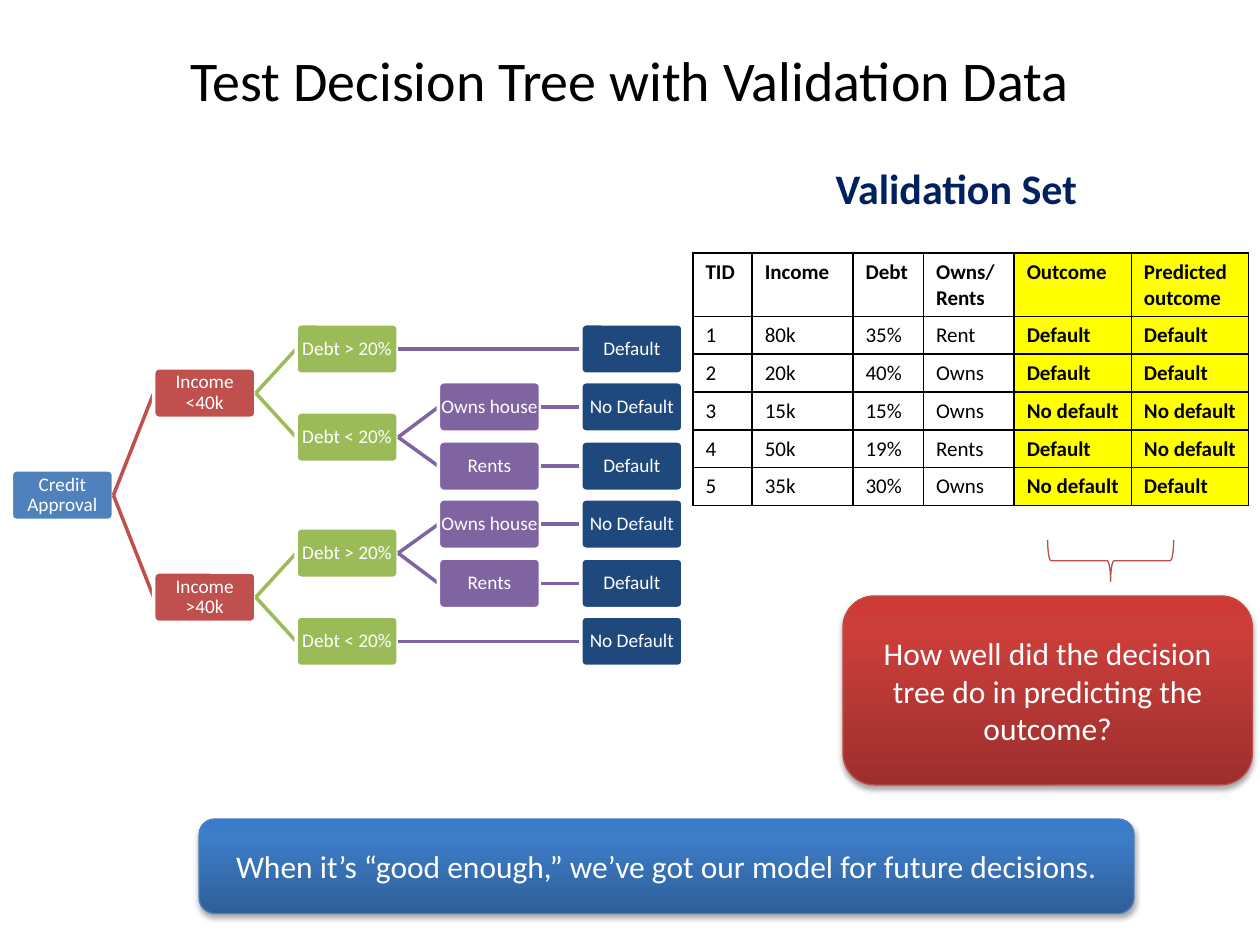
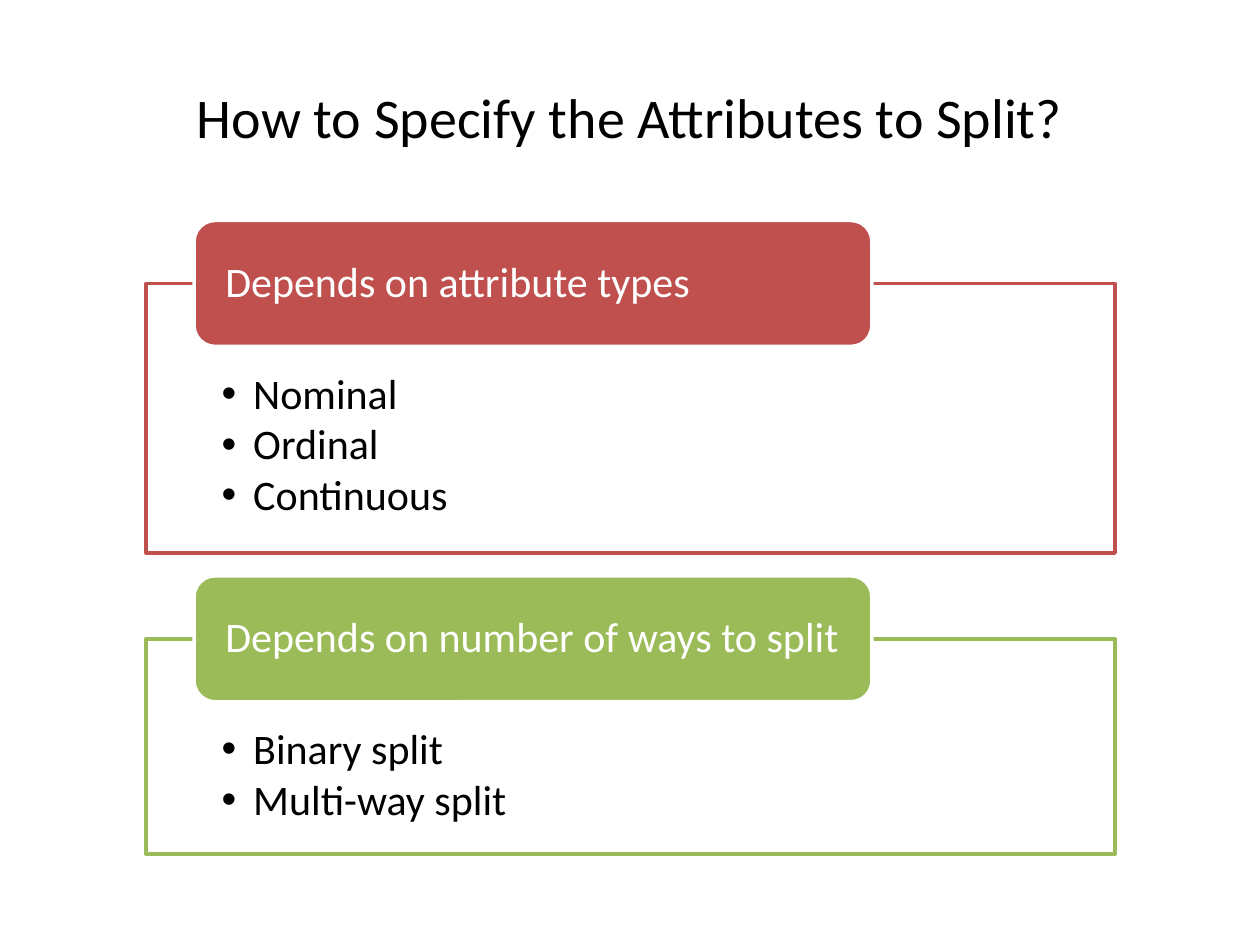
"""Build two slides on testing a decision tree and choosing attribute splits."""
from copy import deepcopy

from pptx import Presentation
from pptx.dml.color import RGBColor
from pptx.enum.shapes import MSO_CONNECTOR as Connector, MSO_SHAPE as Shape
from pptx.enum.text import MSO_ANCHOR as Anchor, PP_ALIGN as Align
from pptx.oxml import parse_xml
from pptx.oxml.ns import nsdecls, qn
from pptx.util import Pt

PX = 9144
BLACK, WHITE, YELLOW = "000000", "FFFFFF", "FFFF00"
BLUE, RED, GREEN, PURPLE, NAVY = "4F81BD", "C0504D", "9BBB59", "8064A2", "1F497D"
DEEP_NAVY, BRACE_RED, BAR_BLUE = "002060", "BF4C48", "4B7EBC"
FONT = "Calibri"


def paint(fill, color):
    """Make a fill solid in a hex colour."""
    fill.solid()
    fill.fore_color.rgb = RGBColor.from_string(color)


def write(frame, text, size=18, color=WHITE, bold=False, align=Align.CENTER, anchor=Anchor.MIDDLE,
          margins=(10, 5, 10, 5), line_spacing=1.0, space_after=0, bullet=None):
    """Fill a text frame with formatted text."""
    frame.text = text
    frame.word_wrap = True
    frame.vertical_anchor = anchor
    sides = ("margin_left", "margin_top", "margin_right", "margin_bottom")
    for side, margin in zip(sides, margins):
        setattr(frame, side, margin * PX)
    for paragraph in frame.paragraphs:
        paragraph.alignment = align
        paragraph.line_spacing = line_spacing
        paragraph.space_after = Pt(space_after)
        if bullet:
            properties = paragraph._p.get_or_add_pPr()
            properties.set("marL", str(25 * PX))
            properties.set("indent", str(-25 * PX))
            properties.append(parse_xml(f'<a:buFont {nsdecls("a")} typeface="Arial"/>'))
            properties.append(parse_xml(f'<a:buChar {nsdecls("a")} char="{bullet}"/>'))
        for run in paragraph.runs:
            run.font.name = FONT
            run.font.size = Pt(size)
            run.font.bold = bold
            paint(run.font.fill, color)
        for line_break in paragraph._p.findall(qn("a:br")):
            line_break.append(deepcopy(paragraph.runs[0]._r.rPr))


presentation = Presentation()
presentation.slide_width = 1000 * PX
presentation.slide_height = 750 * PX

titles = [
    ("Test Decision Tree with Validation Data", 0),
    ("How to Specify the Attributes to Split?", 30),
]
for title, top in titles:
    slide = presentation.slides.add_slide(presentation.slide_layouts[6])
    title_box = slide.shapes.add_textbox(50 * PX, top * PX, 900 * PX, 125 * PX)
    write(title_box.text_frame, title, size=32, color=BLACK)
tree_slide, split_slide = presentation.slides

heading = tree_slide.shapes.add_textbox(605 * PX, 124 * PX, 308 * PX, 50 * PX)
write(heading.text_frame, "Validation Set", size=24, color=DEEP_NAVY, bold=True, anchor=Anchor.TOP)

NODE_WIDTH, NODE_HEIGHT = 81, 40
COLUMN_STEP, ROW_STEP = 113, 46.4
node_colors = [BLUE, RED, GREEN, PURPLE, NAVY]
link_colors = [BLUE, RED, GREEN, PURPLE, PURPLE]
nodes = [
    (0, 2.5, "Credit\vApproval", None),
    (1, 0.75, "Income\v<40k", 0),
    (2, 0, "Debt > 20%", 1),
    (4, 0, "Default", 2),
    (2, 1.5, "Debt < 20%", 1),
    (3, 1, "Owns house", 4),
    (4, 1, "No Default", 5),
    (3, 2, "Rents", 4),
    (4, 2, "Default", 7),
    (1, 4.25, "Income\v>40k", 0),
    (2, 3.5, "Debt > 20%", 9),
    (3, 3, "Owns house", 10),
    (4, 3, "No Default", 11),
    (3, 4, "Rents", 10),
    (4, 4, "Default", 13),
    (2, 5, "Debt < 20%", 9),
    (4, 5, "No Default", 15),
]
corners = [(9 + column * COLUMN_STEP, round(257 + row * ROW_STEP)) for column, row, _, _ in nodes]
for (column, _, label, parent), (left, top) in zip(nodes, corners):
    if parent is not None:
        parent_left, parent_top = corners[parent]
        link = tree_slide.shapes.add_connector(
            Connector.STRAIGHT, (parent_left + NODE_WIDTH) * PX, (parent_top + NODE_HEIGHT // 2) * PX,
            left * PX, (top + NODE_HEIGHT // 2) * PX)
        link.line.width = Pt(2)
        paint(link.line.fill, link_colors[column])
        link._element.spPr.append(parse_xml(f'<a:effectLst {nsdecls("a")}/>'))
    node = tree_slide.shapes.add_shape(
        Shape.ROUNDED_RECTANGLE, left * PX, top * PX, NODE_WIDTH * PX, NODE_HEIGHT * PX)
    node.adjustments[0] = 0.1
    node.shadow.inherit = False
    node.line.width = Pt(2)
    paint(node.fill, node_colors[column])
    paint(node.line.fill, WHITE)
    write(node.text_frame, label, size=11, margins=(1, 2, 1, 2), line_spacing=0.9)

callouts = [
    ("How well did the decision tree do in predicting the outcome?",
     (669, 473, 325, 150), ("9C2F2D", "CB3E3A", "CE3B37"), BRACE_RED),
    ("When it’s “good enough,” we’ve got our model for future decisions.",
     (158, 650, 742, 75), ("2F5F99", "3D7CC7", "3A7CCB"), BAR_BLUE),
]
for message, box, stop_colors, line_color in callouts:
    callout = tree_slide.shapes.add_shape(Shape.ROUNDED_RECTANGLE, *(value * PX for value in box))
    callout.fill.gradient()
    callout.fill.gradient_angle = 90
    stop_list = callout._element.spPr.find(".//" + qn("a:gsLst"))
    stop_list.append(deepcopy(stop_list[0]))
    for stop, position, color in zip(callout.fill.gradient_stops, (0, 0.8, 1), stop_colors):
        stop.position = position
        stop.color.rgb = RGBColor.from_string(color)
    callout.line.width = Pt(0.75)
    paint(callout.line.fill, line_color)
    callout.shadow.inherit = False
    callout._element.spPr.find(qn("a:effectLst")).append(parse_xml(
        f'<a:outerShdw {nsdecls("a")} blurRad="{Pt(3.1)}" dist="{Pt(1.8)}" dir="5400000" rotWithShape="0">'
        f'<a:srgbClr val="{BLACK}"><a:alpha val="35000"/></a:srgbClr></a:outerShdw>'))
    write(callout.text_frame, message)

brace = tree_slide.shapes.add_shape(Shape.LEFT_BRACE, 865 * PX, 395 * PX, 33 * PX, 100 * PX)
brace.rotation = 270
brace.shadow.inherit = False
brace.fill.background()
brace.line.width = Pt(0.75)
paint(brace.line.fill, BRACE_RED)

records = [
    ("TID", "Income", "Debt", "Owns/\vRents", "Outcome", "Predicted outcome"),
    ("1", "80k", "35%", "Rent", "Default", "Default"),
    ("2", "20k", "40%", "Owns", "Default", "Default"),
    ("3", "15k", "15%", "Owns", "No default", "No default"),
    ("4", "50k", "19%", "Rents", "Default", "No default"),
    ("5", "35k", "30%", "Owns", "No default", "Default"),
]
column_widths = (47, 80, 56, 72, 93, 93)
row_heights = (44, 27, 27, 29, 27, 27)
table = tree_slide.shapes.add_table(
    len(records), len(column_widths), 550 * PX, 201 * PX,
    sum(column_widths) * PX, sum(row_heights) * PX).table
table.first_row = table.horz_banding = False
for column, width in zip(table.columns, column_widths):
    column.width = width * PX
for row, height in zip(table.rows, row_heights):
    row.height = height * PX
for row_index, record in enumerate(records):
    for column_index, value in enumerate(record):
        cell = table.cell(row_index, column_index)
        is_outcome = column_index >= 4
        for edge in ("lnL", "lnR", "lnT", "lnB"):
            cell._tc.get_or_add_tcPr().append(parse_xml(
                f'<a:{edge} {nsdecls("a")} w="{Pt(1)}"><a:solidFill>'
                f'<a:srgbClr val="{BLACK}"/></a:solidFill></a:{edge}>'))
        paint(cell.fill, YELLOW if is_outcome else WHITE)
        write(cell.text_frame, value, size=12, color=BLACK, bold=is_outcome or row_index == 0,
              align=Align.LEFT, anchor=Anchor.TOP)

sections = [
    ("Depends on attribute types", "Nominal\nOrdinal\nContinuous", RED, 175, 214),
    ("Depends on number of ways to split", "Binary split\nMulti-way split", GREEN, 457, 171),
]
for section_title, items, color, top, height in sections:
    panel = split_slide.shapes.add_shape(
        Shape.RECTANGLE, 116 * PX, (top + 50) * PX, 769 * PX, height * PX)
    tab = split_slide.shapes.add_shape(
        Shape.ROUNDED_RECTANGLE, 154 * PX, top * PX, 538 * PX, 100 * PX)
    for shape, fill_color, line_color in ((panel, WHITE, color), (tab, color, WHITE)):
        shape.shadow.inherit = False
        shape.line.width = Pt(2)
        paint(shape.fill, fill_color)
        paint(shape.line.fill, line_color)
    write(panel.text_frame, items, size=24, color=BLACK, align=Align.LEFT, anchor=Anchor.TOP,
          margins=(60, 71, 60, 19), line_spacing=0.9, space_after=3, bullet="•")
    write(tab.text_frame, section_title, size=24, align=Align.LEFT,
          margins=(20, 0, 15, 0), line_spacing=0.9)

presentation.save("out.pptx")
